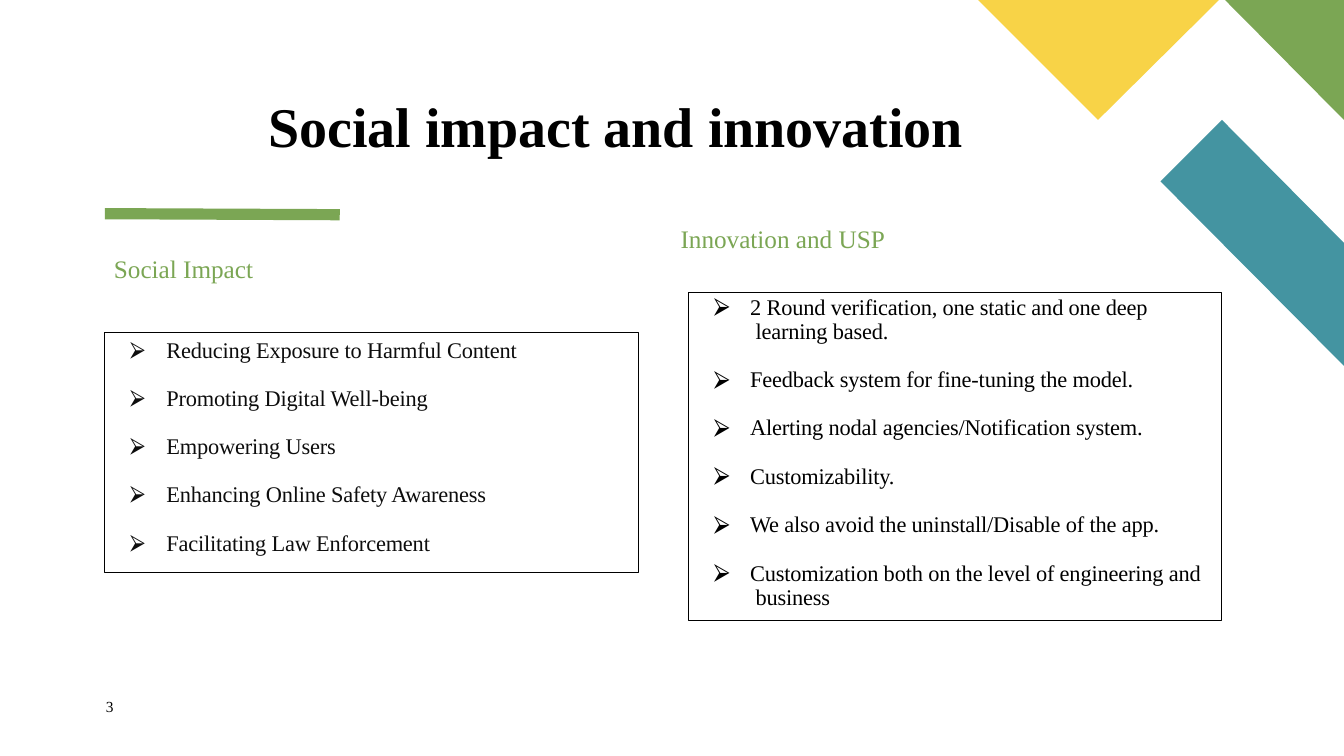
from lxml import etree
from pptx import Presentation
from pptx import util as u
from pptx.dml.color import RGBColor
from pptx.enum import shapes, text
from pptx.oxml.ns import qn

FONT = "Times New Roman"
COLOURS = {
    "black": "000000",
    "ink": "0D0D0D",
    "green": "7BA654",
    "teal": "4494A1",
    "yellow": "F8D347",
}
SOCIAL_IMPACT = [
    "Reducing Exposure to Harmful Content",
    "Promoting Digital Well-being",
    "Empowering Users",
    "Enhancing Online Safety Awareness",
    "Facilitating Law Enforcement",
]
# A line feed marks a fixed line break inside an item
INNOVATION = [
    "2 Round verification, one static and one deep\n learning based.",
    "Feedback system for fine-tuning the model.",
    "Alerting nodal agencies/Notification system.",
    "Customizability.",
    "We also avoid the uninstall/Disable of the app.",
    "Customization both on the level of engineering and\n business",
]


def colour(name):
    return RGBColor.from_string(COLOURS[name])


def place(shape, left, top, width, height):
    shape.left, shape.top = u.Inches(left), u.Inches(top)
    shape.width, shape.height = u.Inches(width), u.Inches(height)


def prepare_frame(shape):
    frame = shape.text_frame
    frame.margin_left = frame.margin_right = frame.margin_bottom = 0
    frame.margin_top = u.Inches(0.01)
    frame.auto_size = text.MSO_AUTO_SIZE.NONE
    frame.vertical_anchor = text.MSO_ANCHOR.TOP
    frame.word_wrap = True
    return frame


def add_run(paragraph, words, size, colour_name, bold=False):
    run = paragraph.add_run()
    run.text = words
    run.font.name, run.font.size, run.font.bold = FONT, u.Pt(size), bold
    run.font.color.rgb = colour(colour_name)
    return run


def write_line(shape, box, words, size, colour_name, bold=False):
    """Fill a shape with one left-aligned line of text."""
    place(shape, *box)
    paragraph = prepare_frame(shape).paragraphs[0]
    paragraph.alignment = text.PP_ALIGN.LEFT
    paragraph.space_before = u.Pt(1)
    add_run(paragraph, words, size, colour_name, bold)


def add_bullet(paragraph, indent, size_percent):
    properties = paragraph._p.get_or_add_pPr()
    properties.set("marL", str(u.Inches(indent)))
    properties.set("indent", str(-u.Inches(indent)))
    for tag, key, value in (
        ("a:buSzPct", "val", str(size_percent * 1000)),
        ("a:buFont", "typeface", FONT),
        ("a:buChar", "char", "⮚"),
    ):
        etree.SubElement(properties, qn(tag)).set(key, value)


def write_list(shape, box, items, colour_name, bullet_size, first_gap):
    place(shape, *box)
    frame = prepare_frame(shape)
    for index, item in enumerate(items):
        paragraph = frame.add_paragraph() if index else frame.paragraphs[0]
        lines = item.split("\n")
        gap = 15.3
        if len(lines) > 1:
            paragraph.line_spacing = u.Pt(17.3)
            gap = 17.6
        paragraph.space_before = u.Pt(gap if index else first_gap)
        add_bullet(paragraph, 0.36, bullet_size)
        for number, line in enumerate(lines):
            if number:
                paragraph.add_line_break()
            run = add_run(paragraph, line, 16, colour_name)
            run.font._element.set("spc", "-10")


def add_frame(slide, left, top, width, height):
    """Draw the thin outline around a list."""
    shape = slide.shapes.add_shape(
        shapes.MSO_SHAPE.RECTANGLE,
        *(u.Inches(length) for length in (left, top, width, height)))
    shape.shadow.inherit = False
    shape.fill.background()
    shape.line.color.rgb = colour("black")
    shape.line.width = u.Pt(0.75)


def add_polygon(slide, points, colour_name):
    corners = [(u.Inches(x), u.Inches(y)) for x, y in points]
    builder = slide.shapes.build_freeform(*corners[0])
    builder.add_line_segments(corners[1:], close=True)
    shape = builder.convert_to_shape()
    shape.shadow.inherit = False
    shape.fill.solid()
    shape.fill.fore_color.rgb = colour(colour_name)
    shape.line.fill.background()


def add_corner(slide, right, top):
    """Draw the three diagonal blocks in the top right corner."""
    add_polygon(slide, [(right - 1.21, top + 1.19), (right - 1.82, top + 1.8),
                        (right, top + 3.63), (right, top + 2.41)], "teal")
    add_polygon(slide, [(right, top), (right - 1.18, top),
                        (right, top + 1.19)], "green")
    add_polygon(slide, [(right - 1.24, top), (right - 3.63, top),
                        (right - 2.44, top + 1.19)], "yellow")


def add_accent(slide, left, top, width):
    """Draw the thick rule under the title."""
    rule = slide.shapes.add_connector(
        shapes.MSO_CONNECTOR.STRAIGHT, u.Inches(left), u.Inches(top),
        u.Inches(left + width), u.Inches(top + 0.01))
    rule.line.color.rgb = colour("green")
    rule.line.width = u.Pt(8)
    etree.SubElement(rule._element.spPr, qn("a:effectLst"))


def add_column(slide, box, heading, heading_box, body, heading_text,
               items, colour_name, bullet_size, first_gap):
    """Place a heading, the list frame in box and the list inside it."""
    left, top, width, height = box
    write_line(heading, heading_box, heading_text, 18, "green")
    add_frame(slide, *box)
    list_box = (left + 0.25, top + 0.02, width - 0.25, height - 0.04)
    write_list(body, list_box, items, colour_name, bullet_size, first_gap)


def main():
    presentation = Presentation()
    presentation.slide_width = u.Inches(13.33)
    presentation.slide_height = u.Inches(7.5)
    slide = presentation.slides.add_slide(presentation.slide_layouts[4])
    title, left_head, left_body, right_head, right_body = slide.placeholders

    # Decoration
    add_accent(slide, 1.04, 2.12, 2.33)
    add_corner(slide, 13.33, 0)

    # Title
    write_line(title, (2.66, 0.9, 7.1, 0.69), "Social impact and innovation",
               40, "black", bold=True)

    # Columns
    add_column(slide, (1.04, 3.3, 5.29, 2.38), left_head,
               (1.13, 2.5, 2, 0.33), left_body, "Social Impact",
               SOCIAL_IMPACT, "ink", 94, 1)
    add_column(slide, (6.83, 2.9, 5.29, 3.26), right_head,
               (6.75, 2.21, 2.4, 0.33), right_body, "Innovation and USP",
               INNOVATION, "black", 100, 3)

    # Page number
    number = slide.shapes.add_textbox(0, 0, 0, 0)
    write_line(number, (1.05, 6.91, 0.2, 0.21), "3", 11, "black")

    presentation.save("out.pptx")


if __name__ == "__main__":
    main()
